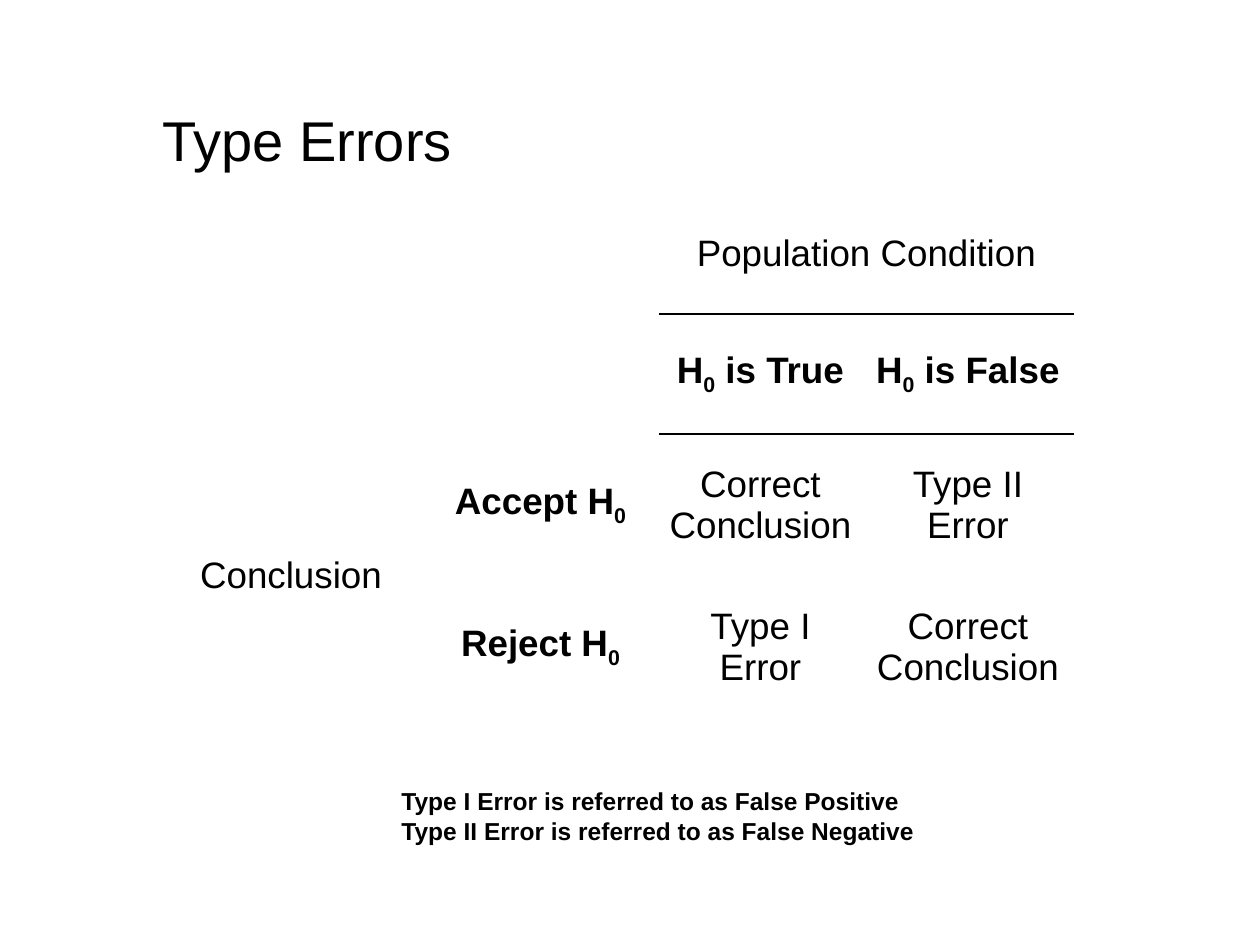
from lxml import etree
from pptx import Presentation
from pptx.dml.color import RGBColor
from pptx.enum.text import MSO_ANCHOR, MSO_AUTO_SIZE, PP_ALIGN
from pptx.oxml.ns import qn
from pptx.util import Emu, Pt

MIDDLE, TOP = MSO_ANCHOR.MIDDLE, MSO_ANCHOR.TOP
CENTER, LEFT = PP_ALIGN.CENTER, PP_ALIGN.LEFT
FIT_SHAPE = MSO_AUTO_SIZE.SHAPE_TO_FIT_TEXT
NO_STYLE_NO_GRID = "{2D5ABB26-0587-4C30-8999-92F81FD0307C}"
COLORS = {"ink": "000000", "paper": "FFFFFF"}
PX_PER_INCH = 126


def px(length):
    return Emu(round(length * 914400 / PX_PER_INCH))


class SlideBuilder:
    font_name = "Arial"
    cell_margins = {"margin_left": px(9), "margin_right": px(9),
                    "margin_top": px(5), "margin_bottom": px(5)}

    def __init__(self, slide):
        self.slide = slide
        fill = slide.background.fill
        fill.solid()
        fill.fore_color.rgb = RGBColor.from_string(COLORS["paper"])

    def add_runs(self, paragraph, text, size, bold=False, align=LEFT):
        paragraph.alignment = align
        formats = {"name": self.font_name, "size": Pt(size), "bold": bold}
        for index, part in enumerate(text.split("_")):
            if not part:
                continue
            run = paragraph.add_run()
            run.text = part
            for name, value in formats.items():
                setattr(run.font, name, value)
            run.font.color.rgb = RGBColor.from_string(COLORS["ink"])
            if index % 2:
                run._r.get_or_add_rPr().set("baseline", "-25000")

    def text(self, box, lines, size, bold=False, anchor=TOP, **formats):
        frame = self.slide.shapes.add_textbox(*map(px, box)).text_frame
        for name, value in {"word_wrap": True, "vertical_anchor": anchor, **formats}.items():
            setattr(frame, name, value)
        for index, line in enumerate(lines):
            paragraph = frame.add_paragraph() if index else frame.paragraphs[0]
            self.add_runs(paragraph, line, size, bold)

    def border(self, cell, side, width):
        line = etree.Element(qn(f"a:{side}"), w=str(Pt(width)))
        fill = etree.SubElement(line, qn("a:solidFill"))
        etree.SubElement(fill, qn("a:srgbClr"), val=COLORS["ink"])
        cell._tc.get_or_add_tcPr().insert(0, line)

    def table(self, left, top, widths, heights, rows, size):
        frame = self.slide.shapes.add_table(
            len(heights), len(widths), px(left), px(top), px(sum(widths)), px(sum(heights)))
        table = frame.table
        table.first_row = table.horz_banding = False
        table._tbl.tblPr.find(qn("a:tableStyleId")).text = NO_STYLE_NO_GRID
        for column, width in zip(table.columns, widths):
            column.width = px(width)
        for row, height in zip(table.rows, heights):
            row.height = px(height)
        for row_index, row in enumerate(rows):
            for column_index, text in enumerate(row):
                cell = table.cell(row_index, column_index)
                cell.fill.background()
                for name, value in {"vertical_anchor": MIDDLE, **self.cell_margins}.items():
                    setattr(cell, name, value)
                self.add_runs(cell.text_frame.paragraphs[0], text, size, "_" in text, CENTER)
        return table


def main():
    presentation = Presentation()
    presentation.slide_width, presentation.slide_height = px(1260), px(945)
    builder = SlideBuilder(presentation.slides.add_slide(presentation.slide_layouts[6]))

    builder.text((150, 93, 804, 92), ["Type Errors"], 32, anchor=MIDDLE)

    rows = [
        ["", "", "Population Condition", ""],
        ["", "", "H_0_ is True", "H_0_ is False"],
        ["Conclusion", "Accept H_0", "Correct Conclusion", "Type II Error"],
        ["", "Reject H_0", "Type I Error", "Correct Conclusion"],
    ]
    errors = builder.table(160, 194, (262, 237, 203, 212), (120, 120, 142, 142), rows, 21)
    errors.cell(0, 2).merge(errors.cell(0, 3))
    errors.cell(2, 0).merge(errors.cell(3, 0))
    for column in (2, 3):
        builder.border(errors.cell(0, column), "lnB", 1)
        builder.border(errors.cell(1, column), "lnT", 1)

    builder.text((389, 780, 638, 72),
                 ["Type I Error is referred to as False Positive",
                  "Type II Error is referred to as False Negative"],
                 14, bold=True, auto_size=FIT_SHAPE)
    presentation.save("out.pptx")


if __name__ == "__main__":
    main()
